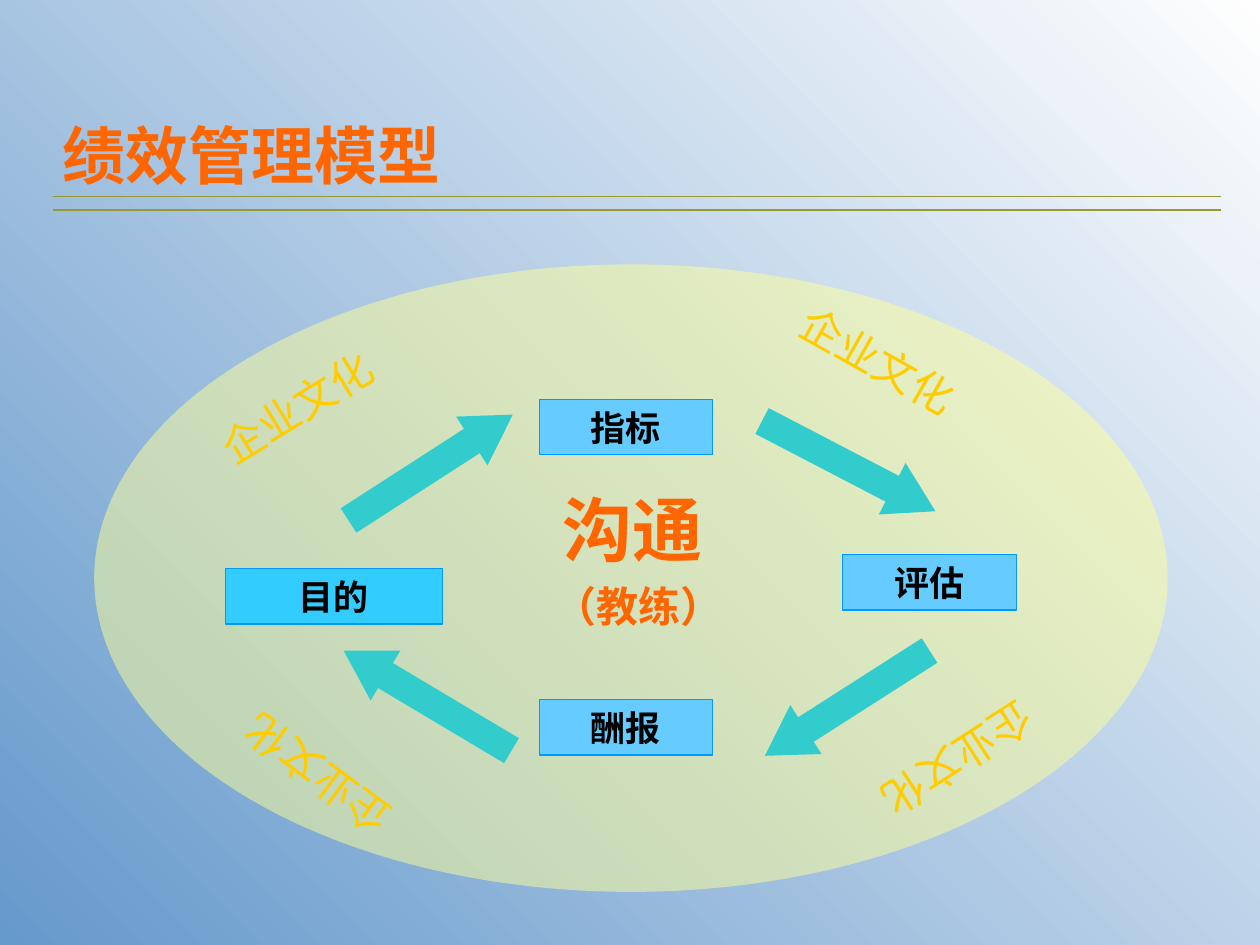
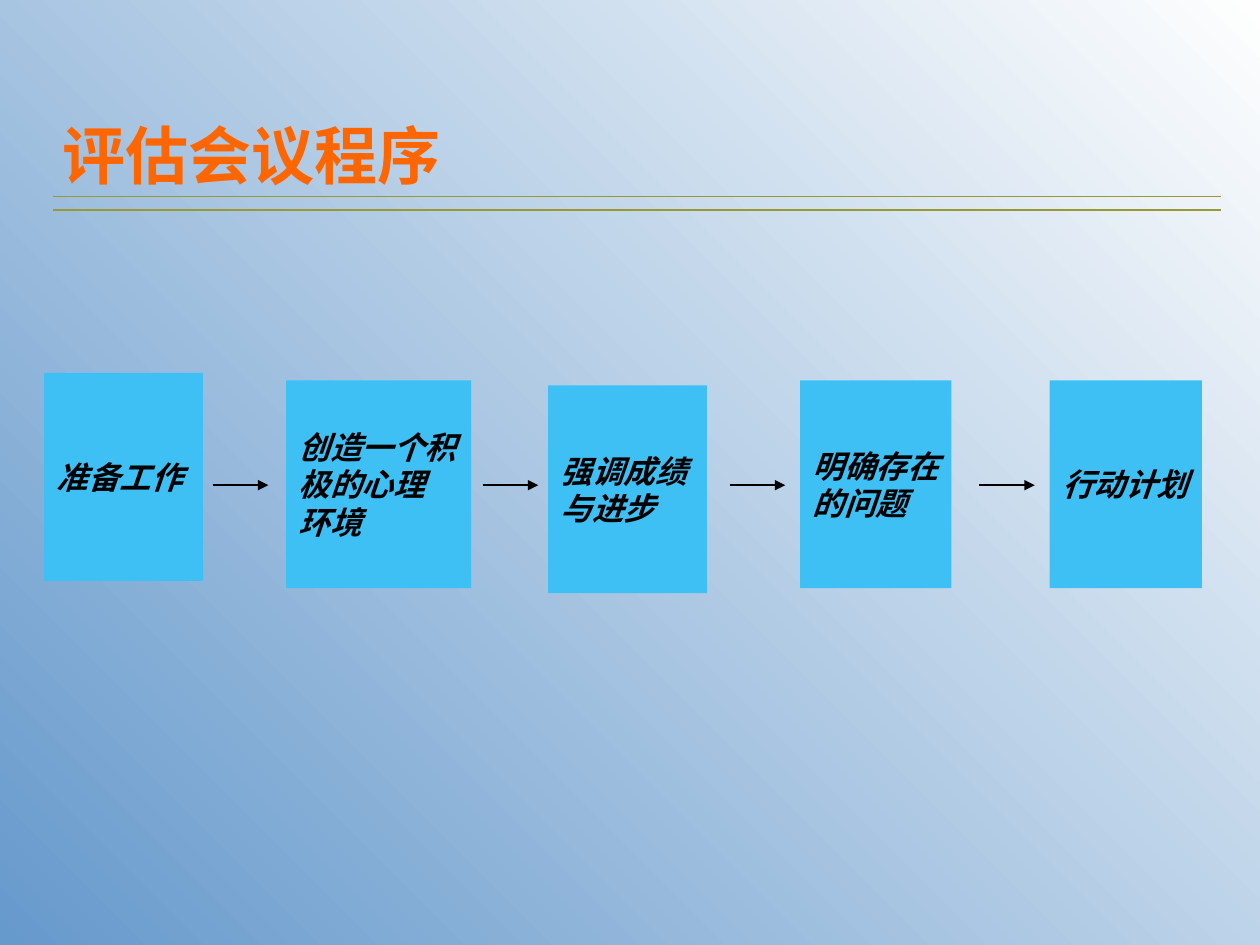
from pptx import Presentation
from pptx.dml.color import RGBColor
from pptx.enum.shapes import MSO_CONNECTOR, MSO_SHAPE
from pptx.enum.text import MSO_ANCHOR, PP_ALIGN
from pptx.oxml.ns import qn
from pptx.util import Cm, Pt
from lxml import etree

RECT, OVAL, ARROW = MSO_SHAPE.RECTANGLE, MSO_SHAPE.OVAL, MSO_SHAPE.LEFT_ARROW
STRAIGHT = MSO_CONNECTOR.STRAIGHT
MIDDLE, BOTTOM = MSO_ANCHOR.MIDDLE, MSO_ANCHOR.BOTTOM
LEFT, CENTER = PP_ALIGN.LEFT, PP_ALIGN.CENTER

SANS, SERIF = "Noto Sans CJK SC", "Times New Roman"
BG_LIGHT = RGBColor(0xFE, 0xFE, 0xFE)
BG_BLUE = RGBColor(0x66, 0x99, 0xCC)
ORANGE = RGBColor(0xFF, 0x66, 0x00)
OLIVE = RGBColor(0x99, 0x99, 0x33)
YELLOW = RGBColor(0xFF, 0xFF, 0x99)
GOLD = RGBColor(0xFF, 0xCC, 0x00)
SKY = RGBColor(0x66, 0xCC, 0xFF)
CYAN = RGBColor(0x33, 0xCC, 0xFF)
EDGE = RGBColor(0x00, 0x99, 0xFF)
TEAL = RGBColor(0x33, 0xCC, 0xCC)
STEP_BLUE = RGBColor(0x3E, 0xC0, 0xF4)
BLACK = RGBColor(0, 0, 0)

# Content; all lengths in cm
MODEL_TITLE = "绩效管理模型"
ELLIPSE = (1.9, 5.33, 21.64, 12.65)
STAGES = [  # text, left, top, width, fill
    ("指标", 10.87, 8.05, 3.5, SKY),
    ("目的", 4.55, 11.46, 4.37, CYAN),
    ("酬报", 10.87, 14.1, 3.5, SKY),
    ("评估", 16.99, 11.18, 3.5, SKY),
]
STAGE_H = 1.12
CYCLE_ARROWS = [  # left, top, rotation
    (15.14, 8.81, 207.5), (6.71, 8.84, 147.2),
    (6.65, 13.54, 30.8), (15.11, 13.59, 327.4),
]
ARROW_SIZE = (3.94, 1.17)
CULTURE = "企业文化"
CULTURE_SPOTS = [  # left, top, rotation
    (15.75, 6.63, 29.4), (4.04, 7.57, 328.4),
    (4.45, 14.99, 216.6), (17.37, 14.68, 147.1),
]
LABEL_SIZE = (3.89, 1.27)

MEETING_TITLE = "评估会议程序"
STEPS = [  # lines, left, top, width
    (["准备工作"], 0.89, 7.52, 3.2),
    (["创造一个积", "极的心理", "环境"], 5.77, 7.67, 3.73),
    (["强调成绩", "与进步"], 11.05, 7.77, 3.2),
    (["明确存在", "的问题"], 16.13, 7.67, 3.05),
    (["行动计划"], 21.16, 7.67, 3.07),
]
STEP_H = 4.19
STEP_ARROWS_X = [4.29, 9.73, 14.71, 19.74]
STEP_ARROW_Y, STEP_ARROW_LEN = 9.78, 1.12


def write(sp, lines, size, color, font=SANS, bold=True, italic=False,
          align=LEFT, anchor=MIDDLE, wrap=True):
    tf = sp.text_frame
    tf.word_wrap = wrap
    tf.vertical_anchor = anchor
    tf.text = "\n".join(lines)
    for p in tf.paragraphs:
        p.alignment = align
        for r in p.runs:
            f = r.font
            f.name, f.size, f.bold, f.italic = font, Pt(size), bold, italic
            f.color.rgb = color
            ea = etree.SubElement(f._element, qn("a:ea"))
            ea.set("typeface", SANS)


def add_text(s, box, text, size, color, rotation=0, **style):
    sp = s.shapes.add_textbox(*map(Cm, box))
    sp.rotation = rotation
    write(sp, [text], size, color, **style)


def add_block(s, kind, box, fill, edge=None):
    sp = s.shapes.add_shape(kind, *map(Cm, box))
    sp.shadow.inherit = False
    sp.fill.solid()
    sp.fill.fore_color.rgb = fill
    if edge is None:
        sp.line.fill.background()
    else:
        sp.line.color.rgb = edge
        sp.line.width = Pt(0.75)
    return sp


def add_line(s, x1, x2, y, color, arrow=False):
    c = s.shapes.add_connector(STRAIGHT, Cm(x1), Cm(y), Cm(x2), Cm(y))
    c.line.color.rgb = color
    c.line.width = Pt(1)
    if arrow:
        tail = etree.SubElement(c.line._get_or_add_ln(), qn("a:tailEnd"))
        tail.set("type", "triangle")
    etree.SubElement(c._element.spPr, qn("a:effectLst"))


def add_slide(prs, title):
    """Blank slide with gradient background, title and double rule."""
    s = prs.slides.add_slide(prs.slide_layouts[6])
    fill = s.background.fill
    fill.gradient()
    fill.gradient_angle = 225
    for stop, color in zip(fill.gradient_stops, (BG_LIGHT, BG_BLUE)):
        stop.color.rgb = color
    add_text(s, (1.02, 1.45, 23.5, 2.54), title, 36, ORANGE, anchor=BOTTOM)
    for y in (3.96, 4.24):
        add_line(s, 1.07, 24.61, y, OLIVE)
    return s


def build_model(prs):
    s = add_slide(prs, MODEL_TITLE)
    # Half-transparent ellipse
    sp = add_block(s, OVAL, ELLIPSE, YELLOW)
    rgb = sp._element.spPr.find(".//" + qn("a:srgbClr"))
    etree.SubElement(rgb, qn("a:alpha")).set("val", "50000")
    # Stages and the arrows between them
    for text, x, y, w, fill in STAGES:
        sp = add_block(s, RECT, (x, y, w, STAGE_H), fill, EDGE)
        write(sp, [text], 20, BLACK, font=SERIF, align=CENTER)
    for x, y, rotation in CYCLE_ARROWS:
        sp = add_block(s, ARROW, (x, y, *ARROW_SIZE), TEAL)
        sp.adjustments[0], sp.adjustments[1] = 0.5, 0.84
        sp.rotation = rotation
    # Centre and surrounding labels
    add_text(s, (11.1, 9.68, 3.73, 1.96), "沟通", 40, ORANGE, font=SERIF)
    add_text(s, (10.92, 11.58, *LABEL_SIZE), "（教练）", 24, ORANGE, wrap=False)
    for x, y, rotation in CULTURE_SPOTS:
        add_text(s, (x, y, *LABEL_SIZE), CULTURE, 24, GOLD, rotation,
                 font=SERIF, bold=False, wrap=False)


def build_meeting(prs):
    s = add_slide(prs, MEETING_TITLE)
    for lines, x, y, w in STEPS:
        sp = add_block(s, RECT, (x, y, w, STEP_H), STEP_BLUE)
        write(sp, lines, 18, BLACK, italic=True, wrap=False)
    for x in STEP_ARROWS_X:
        add_line(s, x, x + STEP_ARROW_LEN, STEP_ARROW_Y, BLACK, arrow=True)


def main():
    prs = Presentation()
    prs.slide_width, prs.slide_height = Cm(25.4), Cm(19.05)
    build_model(prs)
    build_meeting(prs)
    prs.save("out.pptx")


if __name__ == "__main__":
    main()
